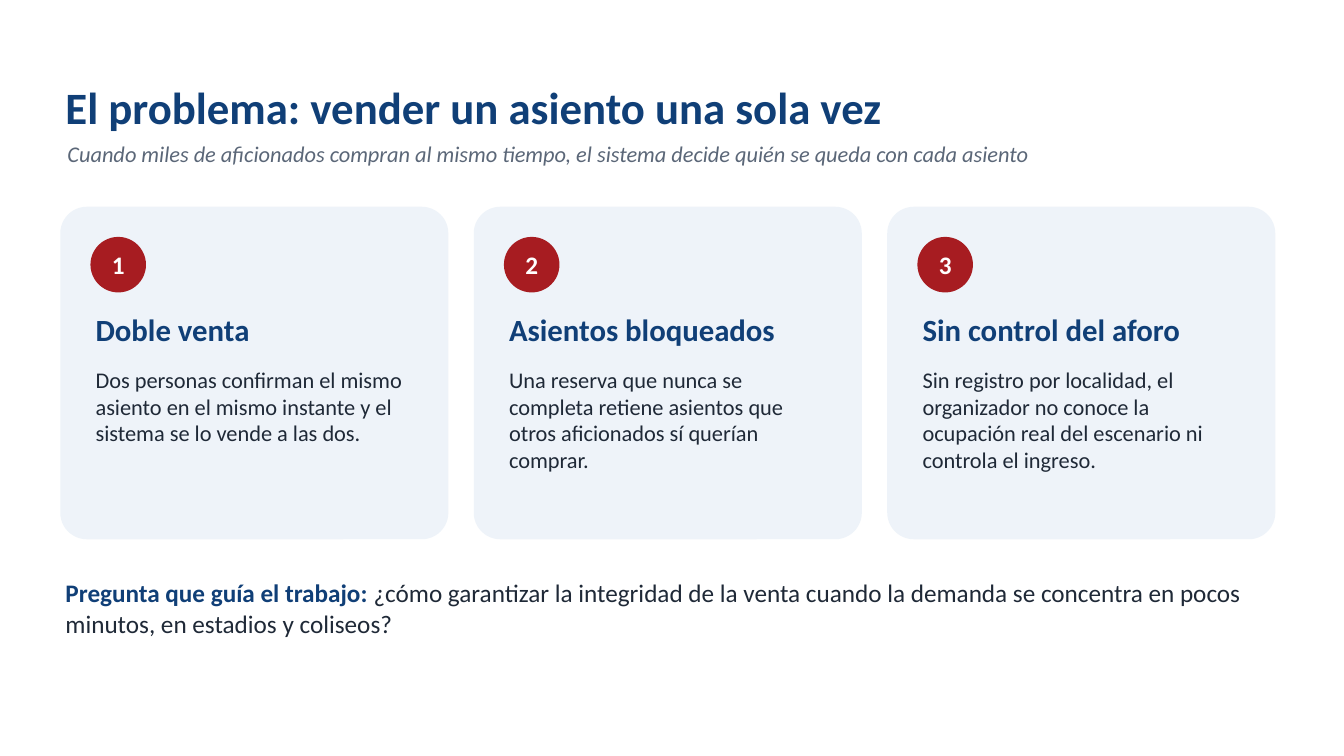
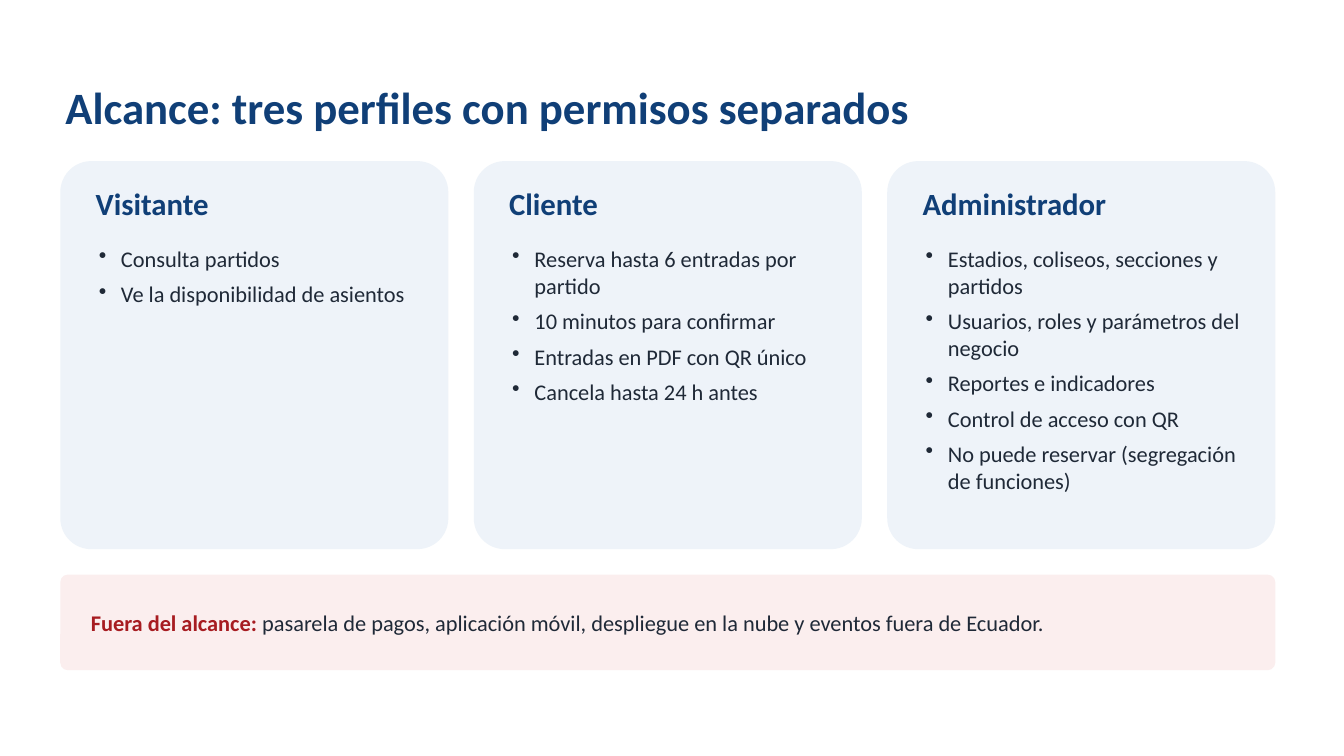
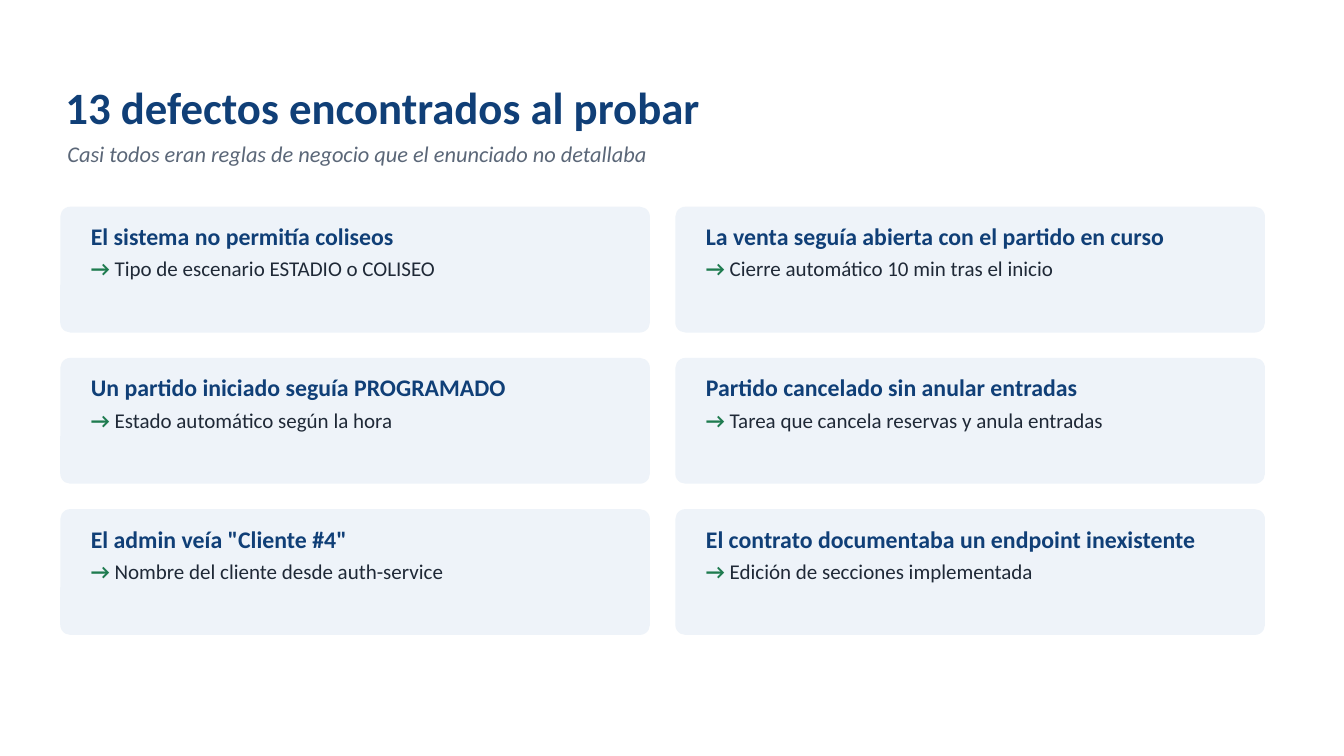
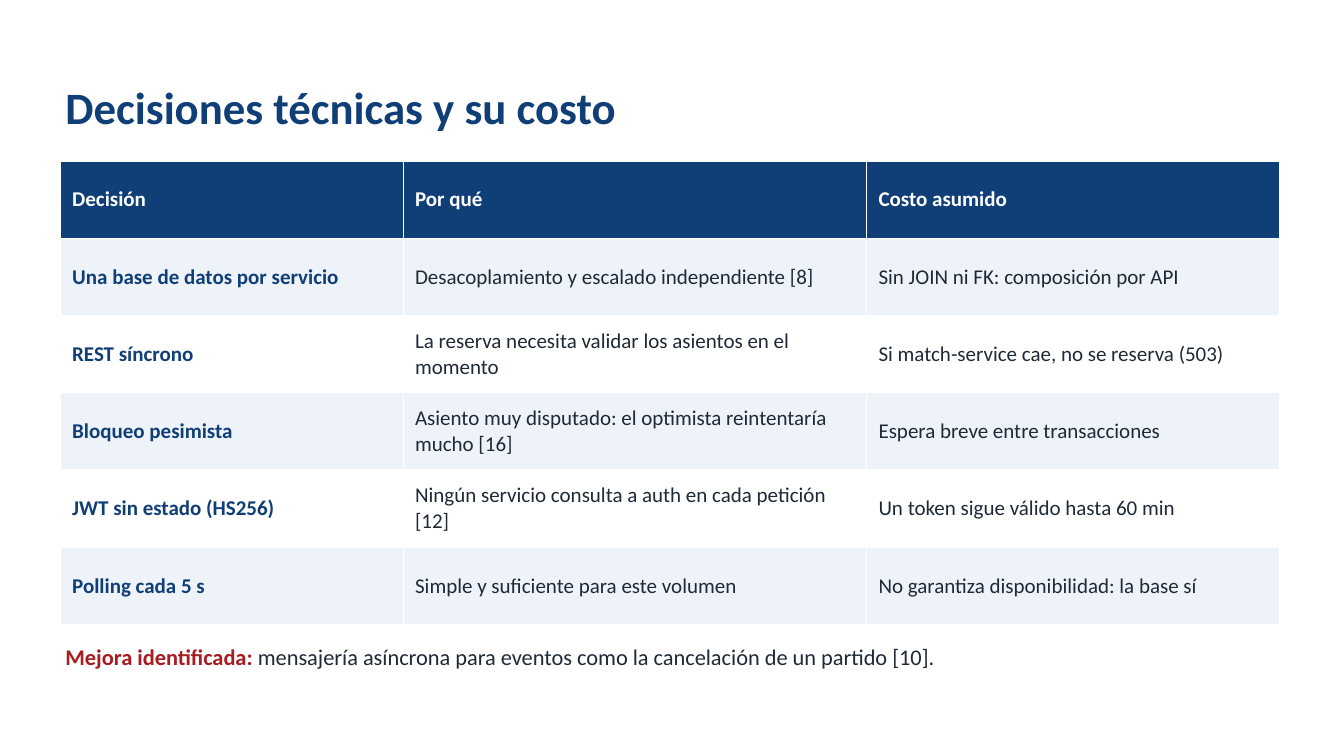
from dataclasses import dataclass, field

import pptx
import pptx.dml.color
import pptx.enum.shapes
import pptx.enum.text
import pptx.oxml.ns
import pptx.util
from lxml import etree

Cm = pptx.util.Cm
Pt = pptx.util.Pt
Shape = pptx.enum.shapes.MSO_SHAPE
Anchor = pptx.enum.text.MSO_ANCHOR
Align = pptx.enum.text.PP_ALIGN
AutoSize = pptx.enum.text.MSO_AUTO_SIZE

PROBLEM = {
    "title": "El problema: vender un asiento una sola vez",
    "subtitle": "Cuando miles de aficionados compran al mismo tiempo, el sistema decide quién se queda con cada asiento",
    "cards": [
        ("Doble venta", "Dos personas confirman el mismo asiento en el mismo instante y el sistema se lo vende a las dos."),
        ("Asientos bloqueados", "Una reserva que nunca se completa retiene asientos que otros aficionados sí querían comprar."),
        ("Sin control del aforo", "Sin registro por localidad, el organizador no conoce la ocupación real del escenario ni controla el ingreso."),
    ],
    "question": (
        "Pregunta que guía el trabajo: ",
        "¿cómo garantizar la integridad de la venta cuando la demanda se concentra en pocos minutos, en estadios y coliseos?",
    ),
}

SCOPE = {
    "title": "Alcance: tres perfiles con permisos separados",
    "profiles": [
        ("Visitante", ["Consulta partidos", "Ve la disponibilidad de asientos"]),
        ("Cliente", [
            "Reserva hasta 6 entradas por partido",
            "10 minutos para confirmar",
            "Entradas en PDF con QR único",
            "Cancela hasta 24 h antes",
        ]),
        ("Administrador", [
            "Estadios, coliseos, secciones y partidos",
            "Usuarios, roles y parámetros del negocio",
            "Reportes e indicadores",
            "Control de acceso con QR",
            "No puede reservar (segregación de funciones)",
        ]),
    ],
    "excluded": (
        "Fuera del alcance: ",
        "pasarela de pagos, aplicación móvil, despliegue en la nube y eventos fuera de Ecuador.",
    ),
}

DEFECTS = {
    "title": "13 defectos encontrados al probar",
    "subtitle": "Casi todos eran reglas de negocio que el enunciado no detallaba",
    "fixes": [
        ("El sistema no permitía coliseos", "Tipo de escenario ESTADIO o COLISEO"),
        ("La venta seguía abierta con el partido en curso", "Cierre automático 10 min tras el inicio"),
        ("Un partido iniciado seguía PROGRAMADO", "Estado automático según la hora"),
        ("Partido cancelado sin anular entradas", "Tarea que cancela reservas y anula entradas"),
        ('El admin veía "Cliente #4"', "Nombre del cliente desde auth-service"),
        ("El contrato documentaba un endpoint inexistente", "Edición de secciones implementada"),
    ],
}

DECISIONS = {
    "title": "Decisiones técnicas y su costo",
    "rows": [
        ("Decisión", "Por qué", "Costo asumido"),
        ("Una base de datos por servicio", "Desacoplamiento y escalado independiente [8]", "Sin JOIN ni FK: composición por API"),
        ("REST síncrono", "La reserva necesita validar los asientos en el momento", "Si match-service cae, no se reserva (503)"),
        ("Bloqueo pesimista", "Asiento muy disputado: el optimista reintentaría mucho [16]", "Espera breve entre transacciones"),
        ("JWT sin estado (HS256)", "Ningún servicio consulta a auth en cada petición [12]", "Un token sigue válido hasta 60 min"),
        ("Polling cada 5 s", "Simple y suficiente para este volumen", "No garantiza disponibilidad: la base sí"),
    ],
    "improvement": (
        "Mejora identificada: ",
        "mensajería asíncrona para eventos como la cancelación de un partido [10].",
    ),
}


@dataclass(frozen=True)
class Theme:
    font: str = "Calibri"
    colours: dict = field(default_factory=lambda: {
        "navy": "103F77", "red": "A71C21", "green": "1E7B4F", "ink": "1F2937",
        "grey": "5B6778", "pale": "EEF3F9", "blush": "FBEEEE", "white": "FFFFFF",
    })
    styles: dict = field(default_factory=lambda: {
        "title": ("navy", {"size": Pt(32), "bold": True}),
        "subtitle": ("grey", {"size": Pt(16), "italic": True}),
        "heading": ("navy", {"size": Pt(22), "bold": True}),
        "body": ("ink", {"size": Pt(16)}),
        "warning": ("red", {"size": Pt(16), "bold": True}),
        "badge": ("white", {"size": Pt(18), "bold": True}),
        "question_label": ("navy", {"size": Pt(18), "bold": True}),
        "question": ("ink", {"size": Pt(18)}),
        "defect": ("navy", {"size": Pt(17), "bold": True}),
        "arrow": ("green", {"size": Pt(15), "bold": True}),
        "fix": ("ink", {"size": Pt(15)}),
        "table_head": ("white", {"size": Pt(15), "bold": True}),
        "table_key": ("navy", {"size": Pt(15), "bold": True}),
        "table_body": ("ink", {"size": Pt(15)}),
    })

    def colour(self, name):
        return pptx.dml.color.RGBColor.from_string(self.colours[name])


THEME = Theme()
LEFT = 1.52
WIDE = 30.73
GAP = 0.64
THIRD = 9.78
HALF = 14.86
PAD = 0.76


def apply(target, values):
    for name, value in values.items():
        setattr(target, name, value)


def margins(side, end):
    return {"margin_left": Cm(side), "margin_right": Cm(side),
            "margin_top": Cm(end), "margin_bottom": Cm(end)}


def write(para, spans):
    for text, style in spans:
        span = para.add_run()
        span.text = text
        colour, values = THEME.styles[style]
        apply(span.font, {"name": THEME.font, **values})
        span.font.color.rgb = THEME.colour(colour)


def add_bullet(para):
    properties = para._p.get_or_add_pPr()
    properties.set("marL", str(Cm(0.64)))
    properties.set("indent", str(Cm(-0.56)))
    bullet = etree.SubElement(properties, pptx.oxml.ns.qn("a:buChar"))
    bullet.set("char", "•")


def add_text(page, area, paragraphs, anchor=Anchor.TOP, after=6, bullets=False):
    box = page.shapes.add_textbox(*map(Cm, area))
    frame = box.text_frame
    apply(frame, {"word_wrap": True, "auto_size": AutoSize.SHAPE_TO_FIT_TEXT,
                  "vertical_anchor": anchor, **margins(0.13, 0.08)})
    for index, spans in enumerate(paragraphs):
        para = frame.paragraphs[0] if index == 0 else frame.add_paragraph()
        para.space_after = Pt(after)
        if bullets:
            add_bullet(para)
        write(para, spans)


def add_panel(page, area, colour="pale", kind=Shape.ROUNDED_RECTANGLE):
    panel = page.shapes.add_shape(kind, *map(Cm, area))
    panel.shadow.inherit = False
    panel.fill.solid()
    panel.fill.fore_color.rgb = THEME.colour(colour)
    panel.line.fill.background()
    if kind == Shape.ROUNDED_RECTANGLE:
        panel.adjustments[0] = 0.08
    return panel


def add_badge(page, left, top, number):
    badge = add_panel(page, (left, top, 1.4, 1.4), "red", Shape.OVAL)
    frame = badge.text_frame
    apply(frame, {"vertical_anchor": Anchor.MIDDLE, **margins(0, 0.13)})
    frame.paragraphs[0].alignment = Align.CENTER
    write(frame.paragraphs[0], [(str(number), "badge")])


def add_page(deck, content):
    page = deck.slides.add_slide(deck.slide_layouts[6])
    add_text(page, (LEFT, 1.73, WIDE, 1.9), [[(content["title"], "title")]], Anchor.MIDDLE)
    if "subtitle" in content:
        add_text(page, (1.57, 3.45, 30.48, 1.14), [[(content["subtitle"], "subtitle")]])
    return page


def labelled(pair, label_style, text_style):
    return [list(zip(pair, (label_style, text_style)))]


def build_problem(deck):
    page = add_page(deck, PROBLEM)
    for index, (heading, body) in enumerate(PROBLEM["cards"]):
        left = LEFT + index * (THIRD + GAP)
        add_panel(page, (left, 5.21, THIRD, 8.38))
        add_badge(page, left + PAD, 5.97, index + 1)
        add_text(page, (left + PAD, 7.75, 8.38, 1.27), [[(heading, "heading")]])
        add_text(page, (left + PAD, 9.14, 8.38, 4.32), [[(body, "body")]])
    add_text(page, (LEFT, 14.48, WIDE, 2.29),
             labelled(PROBLEM["question"], "question_label", "question"))


def build_scope(deck):
    page = add_page(deck, SCOPE)
    for index, (heading, permissions) in enumerate(SCOPE["profiles"]):
        left = LEFT + index * (THIRD + GAP)
        add_panel(page, (left, 4.06, THIRD, THIRD))
        add_text(page, (left + PAD, 4.57, 8.38, 1.27), [[(heading, "heading")]])
        add_text(page, (left + PAD, 6.1, 8.51, 7.62),
                 [[(permission, "body")] for permission in permissions], bullets=True)
    add_panel(page, (LEFT, 14.48, 3 * THIRD + 2 * GAP, 2.41), "blush")
    add_text(page, (LEFT + GAP, 14.6, 29.46, 2.16),
             labelled(SCOPE["excluded"], "warning", "body"), Anchor.MIDDLE)


def build_defects(deck):
    page = add_page(deck, DEFECTS)
    height = 3.17
    for index, (defect, fix) in enumerate(DEFECTS["fixes"]):
        row, column = divmod(index, 2)
        left = LEFT + column * (HALF + GAP)
        top = 5.21 + row * (height + GAP)
        add_panel(page, (left, top, HALF, height))
        add_text(page, (left + GAP, top + 0.3, 13.72, 3.05),
                 [[(defect, "defect")], [("→ ", "arrow"), (fix, "fix")]], after=4)


def build_decisions(deck):
    page = add_page(deck, DECISIONS)
    rows = DECISIONS["rows"]
    widths = (8.64, 11.68, 10.41)
    table = page.shapes.add_table(len(rows), len(widths), Cm(LEFT), Cm(4.06), Cm(WIDE), Cm(11.68)).table
    for column, width in zip(table.columns, widths):
        column.width = Cm(width)
    for row, texts in enumerate(rows):
        fill = "navy" if row == 0 else ("white", "pale")[row % 2]
        for column, text in enumerate(texts):
            style = "table_head" if row == 0 else "table_body" if column else "table_key"
            cell = table.cell(row, column)
            apply(cell, {"vertical_anchor": Anchor.MIDDLE, **margins(0.3, 0.13)})
            cell.fill.solid()
            cell.fill.fore_color.rgb = THEME.colour(fill)
            write(cell.text_frame.paragraphs[0], [(text, style)])
    add_text(page, (LEFT, 16.13, WIDE, 1.27),
             labelled(DECISIONS["improvement"], "warning", "body"))


def main():
    deck = pptx.Presentation()
    apply(deck, {"slide_width": Cm(33.87), "slide_height": Cm(19.05)})
    for build in (build_problem, build_scope, build_defects, build_decisions):
        build(deck)
    deck.save("out.pptx")


if __name__ == "__main__":
    main()
